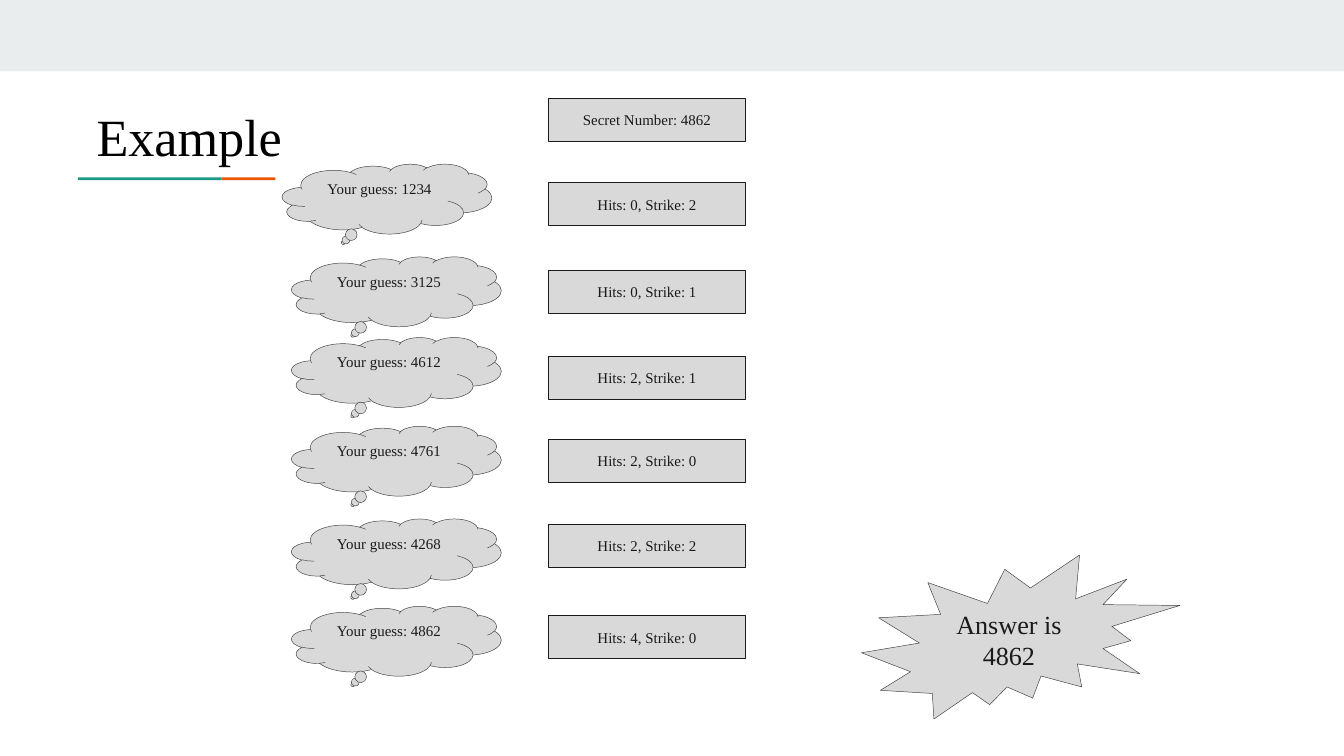
from pptx import Presentation
from pptx.dml.color import RGBColor
from pptx.enum import shapes, text
from pptx.util import Inches, Pt

# Content: guess, its top, result, its top
SECRET = ("Secret Number: 4862", 0.73)
ROUNDS = [
    ("1234", 1.22, "Hits: 0, Strike: 2", 1.36),
    ("3125", 1.91, "Hits: 0, Strike: 1", 2.01),
    ("4612", 2.51, "Hits: 2, Strike: 1", 2.65),
    ("4761", 3.17, "Hits: 2, Strike: 0", 3.27),
    ("4268", 3.86, "Hits: 2, Strike: 2", 3.90),
    ("4862", 4.51, "Hits: 4, Strike: 0", 4.58),
]
FONT = "Times New Roman"
HEX = {"band": "E9EDEE", "teal": "1A9988", "orange": "EB5600", "fill": "D9D9D9",
       "edge": "424242", "ink": "1A1A1A", "title": "000000"}
KIND = shapes.MSO_SHAPE

# Widescreen slide, 16 to 9
deck = Presentation()
deck.slide_width = Inches(10)
deck.slide_height = deck.slide_width * 9 // 16
slide = deck.slides.add_slide(deck.slide_layouts[6])


def color(name):
    return RGBColor.from_string(HEX[name])


def draw(kind, box, fill, edge=None, width=0):
    shape = slide.shapes.add_shape(kind, *map(Inches, box))
    shape.shadow.inherit = False
    shape.fill.solid()
    shape.fill.fore_color.rgb = color(fill)
    if edge:
        shape.line.color.rgb = color(edge)
        shape.line.width = Pt(width)
    else:
        shape.line.fill.background()
    return shape


def write(shape, words, size, ink="ink", align=text.PP_ALIGN.CENTER):
    frame = shape.text_frame
    frame.text = words
    frame.word_wrap = True
    para = frame.paragraphs[0]
    para.alignment = align
    font = para.runs[0].font
    font.name, font.size = FONT, Pt(size)
    font.color.rgb = color(ink)
    return frame


def result(words, top):
    write(draw(KIND.RECTANGLE, (4.08, top, 1.47, 0.32), "fill", "ink", 0.5), words, 8)


def guess(num, top, left):
    cloud = draw(KIND.CLOUD_CALLOUT, (left, top, 1.56, 0.52), "fill", "edge", 0.25)
    frame = write(cloud, f"Your guess: {num}", 8)
    # Raise the text above the middle of the cloud
    frame.margin_top, frame.margin_bottom = 0, Inches(0.13)


# Top band and title underline
draw(KIND.RECTANGLE, (0, 0, 10, 0.53), "band")
draw(KIND.RECTANGLE, (0.58, 1.32, 1.07, 0.02), "teal")
draw(KIND.RECTANGLE, (1.65, 1.32, 0.4, 0.02), "orange")

# Title
title = slide.shapes.add_textbox(*map(Inches, (0.62, 0.73, 1.7, 0.57)))
frame = write(title, "Example", 28, "title", text.PP_ALIGN.LEFT)
frame.auto_size = text.MSO_AUTO_SIZE.SHAPE_TO_FIT_TEXT

# Secret number, then each guess with its result
result(*SECRET)
for i, (num, high, score, top) in enumerate(ROUNDS):
    guess(num, high, 2.17 if i else 2.1)
    result(score, top)

# Answer
burst = draw(KIND.EXPLOSION2, (6.41, 4.13, 2.37, 1.22), "fill", "edge", 0.25)
write(burst, "Answer is 4862", 14)

deck.save("out.pptx")
